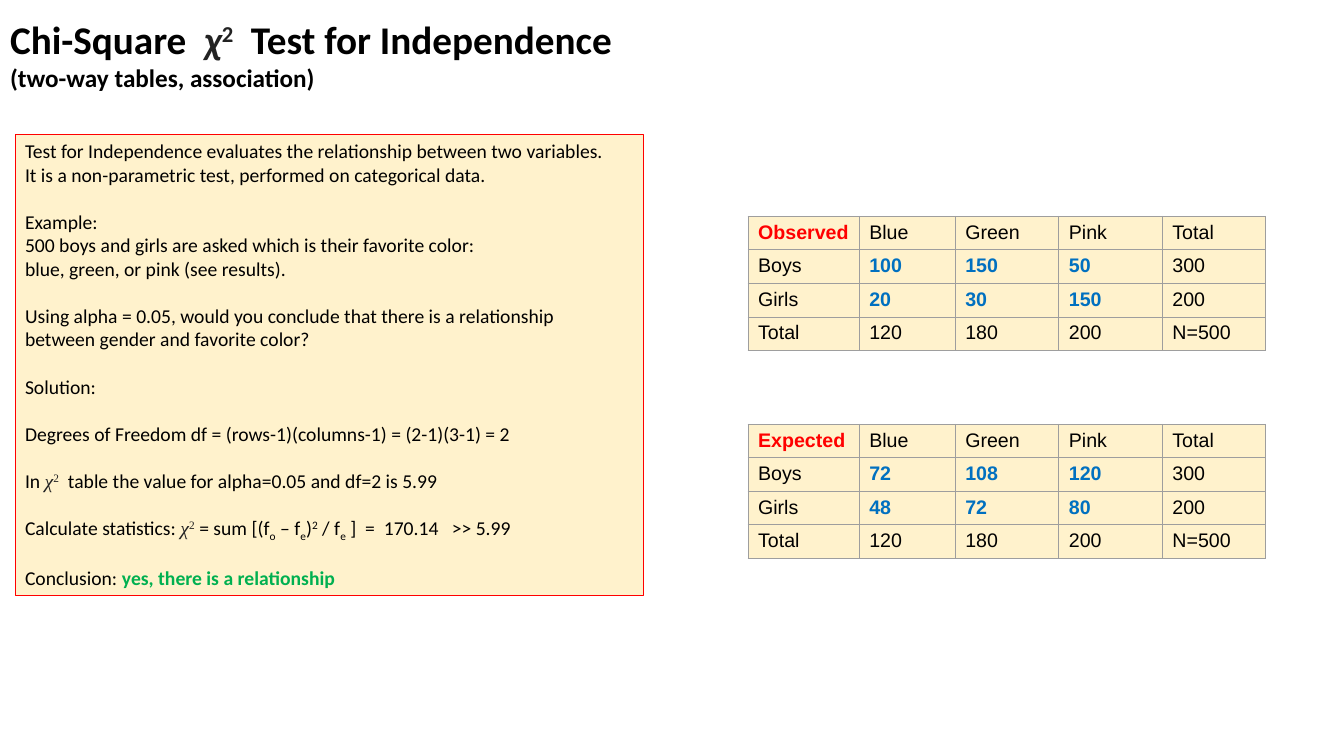
from dataclasses import dataclass

from lxml.etree import SubElement
from pptx import Presentation
from pptx.dml.color import RGBColor
from pptx.enum.shapes import MSO_SHAPE
from pptx.enum.text import MSO_ANCHOR, MSO_AUTO_SIZE, PP_ALIGN
from pptx.oxml.ns import qn
from pptx.util import Pt


@dataclass(frozen=True)
class Theme:
    ink: str = "000000"
    symbol: str = "222222"
    panel: str = "FFF2CC"
    accent: str = "FF0000"
    count: str = "0070C0"
    verdict: str = "00B050"
    grid: str = "9E9E9E"
    text_font: str = "Calibri"
    symbol_font: str = "Times New Roman"
    table_font: str = "Arial"
    title_size: float = 28
    subtitle_size: float = 18
    body_size: float = 14
    line_width: float = 0.75
    blank_line: float = 16.8


THEME = Theme()
SUPERSCRIPT, SUBSCRIPT = 30000, -25000


@dataclass(frozen=True)
class Piece:
    """A stretch of text with the formatting that differs from plain body text."""
    text: str
    size: float = THEME.body_size
    font: str = THEME.text_font
    color: str = THEME.ink
    bold: bool = False
    italic: bool = False
    baseline: int = 0


def chi_squared(**look):
    look = {"font": THEME.symbol_font, "color": THEME.symbol, **look}
    return [Piece("χ", italic=True, **look),
            Piece("2", baseline=SUPERSCRIPT, **look)]


def sub(text):
    return Piece(text, baseline=SUBSCRIPT)


class SlideBuilder:
    def __init__(self, presentation, theme):
        self.theme = theme
        self.slide = presentation.slides.add_slide(presentation.slide_layouts[5])

    def add_pieces(self, paragraph, pieces):
        for piece in pieces:
            run = paragraph.add_run()
            run.text = piece.text
            font = run.font
            font.size, font.name = Pt(piece.size), piece.font
            font.bold, font.italic = piece.bold, piece.italic
            font.color.rgb = RGBColor.from_string(piece.color)
            if piece.baseline:
                run._r.get_or_add_rPr().set("baseline", str(piece.baseline))

    def place_frame(self, shape, box):
        shape.left, shape.top, shape.width, shape.height = map(Pt, box)
        frame = shape.text_frame
        frame.word_wrap = True
        frame.auto_size = MSO_AUTO_SIZE.NONE
        frame.vertical_anchor = MSO_ANCHOR.TOP
        frame.margin_left = frame.margin_right = Pt(7.2)
        frame.margin_top = frame.margin_bottom = Pt(3.6)
        return frame

    def title(self, box, heading, subtitle):
        frame = self.place_frame(self.slide.shapes.title, box)
        paragraph = frame.paragraphs[0]
        paragraph.alignment = PP_ALIGN.LEFT
        self.add_pieces(paragraph, heading)
        paragraph.add_line_break()
        self.add_pieces(paragraph, subtitle)

    def panel(self, box, blocks):
        """Draw a filled box; each block of lines is set off by one line of space."""
        shape = self.slide.shapes.add_shape(MSO_SHAPE.RECTANGLE, *map(Pt, box))
        shape.shadow.inherit = False
        shape.fill.solid()
        shape.fill.fore_color.rgb = RGBColor.from_string(self.theme.panel)
        shape.line.color.rgb = RGBColor.from_string(self.theme.accent)
        shape.line.width = Pt(self.theme.line_width)
        frame = self.place_frame(shape, box)
        paragraph = None
        for block in blocks:
            for index, pieces in enumerate(block):
                first = paragraph is None
                paragraph = frame.paragraphs[0] if first else frame.add_paragraph()
                paragraph.alignment = PP_ALIGN.LEFT
                if index == 0 and not first:
                    paragraph.space_before = Pt(self.theme.blank_line)
                self.add_pieces(paragraph, pieces)

    def border(self, cell):
        properties = cell._tc.get_or_add_tcPr()
        for side in ("a:lnL", "a:lnR", "a:lnT", "a:lnB"):
            line = SubElement(properties, qn(side), w=str(Pt(self.theme.line_width)))
            fill = SubElement(line, qn("a:solidFill"))
            SubElement(fill, qn("a:srgbClr"), val=self.theme.grid)

    def table(self, left, top, widths, row_height, rows):
        table = self.slide.shapes.add_table(
            len(rows), len(widths), Pt(left), Pt(top),
            Pt(sum(widths)), Pt(row_height * len(rows))).table
        table.first_row = table.horz_banding = False
        for column, width in zip(table.columns, widths):
            column.width = Pt(width)
        for r, values in enumerate(rows):
            table.rows[r].height = Pt(row_height)
            for c, value in enumerate(values):
                cell = table.cell(r, c)
                self.border(cell)
                cell.fill.solid()
                cell.fill.fore_color.rgb = RGBColor.from_string(self.theme.panel)
                is_corner = r == c == 0
                is_count = 0 < r < len(rows) - 1 and 0 < c < len(widths) - 1
                color = (self.theme.accent if is_corner else
                         self.theme.count if is_count else self.theme.ink)
                self.add_pieces(cell.text_frame.paragraphs[0],
                                [Piece(str(value), font=self.theme.table_font,
                                       color=color, bold=is_corner or is_count)])


def with_totals(name, boys, girls):
    totals = [b + g for b, g in zip(boys, girls)]
    return [[name, "Blue", "Green", "Pink", "Total"],
            ["Boys", *boys, sum(boys)],
            ["Girls", *girls, sum(girls)],
            ["Total", *totals, f"N={sum(totals)}"]]


def plain(*lines):
    return [[Piece(line)] for line in lines]


EXPLANATION = [
    plain("Test for Independence evaluates the relationship between two variables.",
          "It is a non-parametric test, performed on categorical data."),
    plain("Example:",
          "500 boys and girls are asked which is their favorite color:",
          "blue, green, or pink (see results)."),
    plain("Using alpha = 0.05, would you conclude that there is a relationship",
          "between gender and favorite color?"),
    plain("Solution:"),
    plain("Degrees of Freedom df = (rows-1)(columns-1) = (2-1)(3-1) = 2"),
    [[Piece("In "), *chi_squared(),
      Piece("  table the value for alpha=0.05 and df=2 is 5.99")]],
    [[Piece("Calculate statistics: "), *chi_squared(),
      Piece(" = sum [(f"), sub("o"), Piece(" – f"), sub("e"), Piece(")"),
      Piece("2", baseline=SUPERSCRIPT), Piece(" / f"), sub("e"),
      Piece(" ]  =  170.14   >> 5.99")]],
    [[Piece("Conclusion: "),
      Piece("yes, there is a relationship", color=THEME.verdict, bold=True)]],
]


def main():
    presentation = Presentation()
    presentation.slide_width, presentation.slide_height = Pt(960), Pt(540)
    builder = SlideBuilder(presentation, THEME)

    heading = {"size": THEME.title_size, "bold": True}
    builder.title(
        (0, 7.2, 480, 63.4),
        [Piece("Chi-Square  ", **heading),
         *chi_squared(font=THEME.text_font, **heading),
         Piece("  Test for Independence ", **heading)],
        [Piece("(two-way tables, association)", size=THEME.subtitle_size, bold=True)])
    builder.panel((10.8, 95.8, 448.6, 329.8), EXPLANATION)

    column_widths = [79.4, 68.6, 74, 74, 74]
    results = [(154.5, with_totals("Observed", (100, 150, 50), (20, 30, 150))),
               (303, with_totals("Expected", (72, 108, 120), (48, 72, 80)))]
    for top, rows in results:
        builder.table(534.3, top, column_widths, 24, rows)

    presentation.save("out.pptx")


if __name__ == "__main__":
    main()
